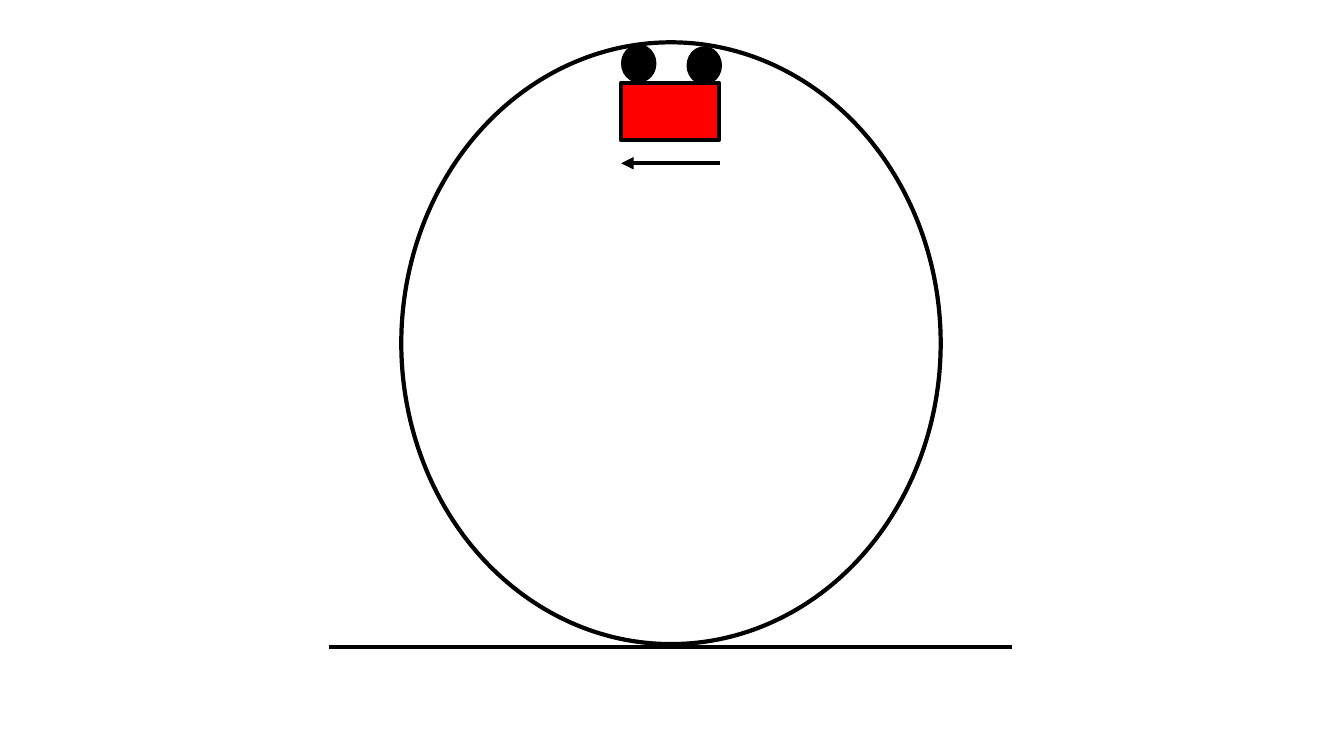
import pptx
import pptx.dml.color
import pptx.enum.shapes
import pptx.oxml.ns
import pptx.util
from lxml import etree

COLOURS = {"ink": "000000", "car": "FF0000"}
SHAPES = pptx.enum.shapes.MSO_SHAPE
Inches = pptx.util.Inches


def rgb(name):
    return pptx.dml.color.RGBColor.from_string(COLOURS[name])


class LoopDiagram:
    """Holds the line style and the slide being drawn."""

    def __init__(self, slide, line_width=3):
        self.slide = slide
        self.line_width = pptx.util.Pt(line_width)

    def style_line(self, line):
        line.color.rgb = rgb("ink")
        line.width = self.line_width

    def outline(self, kind, left, top, width, height, fill=None):
        part = self.slide.shapes.add_shape(
            kind, Inches(left), Inches(top), Inches(width), Inches(height))
        part.shadow.inherit = False
        if fill:
            part.fill.solid()
            part.fill.fore_color.rgb = rgb(fill)
        else:
            part.fill.background()
        self.style_line(part.line)

    def straight(self, start_x, end_x, y, arrow=False):
        stroke = self.slide.shapes.add_connector(
            pptx.enum.shapes.MSO_CONNECTOR.STRAIGHT,
            Inches(start_x), Inches(y), Inches(end_x), Inches(y))
        self.style_line(stroke.line)
        qn = pptx.oxml.ns.qn
        if arrow:
            etree.SubElement(stroke.line._get_or_add_ln(),
                             qn("a:tailEnd"), type="triangle")
        etree.SubElement(stroke._element.spPr, qn("a:effectLst"))


def main():
    deck = pptx.Presentation()
    deck.slide_width, deck.slide_height = Inches(13.33), Inches(7.5)
    diagram = LoopDiagram(deck.slides.add_slide(deck.slide_layouts[6]))

    # Loop standing on the ground
    diagram.outline(SHAPES.OVAL, 3.98, 0.42, 5.35, 5.97)
    diagram.straight(3.26, 10.04, 6.42)

    # Upside-down car at the top of the loop
    diagram.outline(SHAPES.RECTANGLE, 6.16, 0.82, 0.97, 0.57, fill="car")
    for wheel_left, wheel_top in ((6.83, 0.48), (6.18, 0.46)):
        diagram.outline(SHAPES.OVAL, wheel_left, wheel_top, 0.31, 0.34, fill="ink")

    # Direction of travel
    diagram.straight(7.14, 6.16, 1.62, arrow=True)

    deck.save("out.pptx")


if __name__ == "__main__":
    main()
